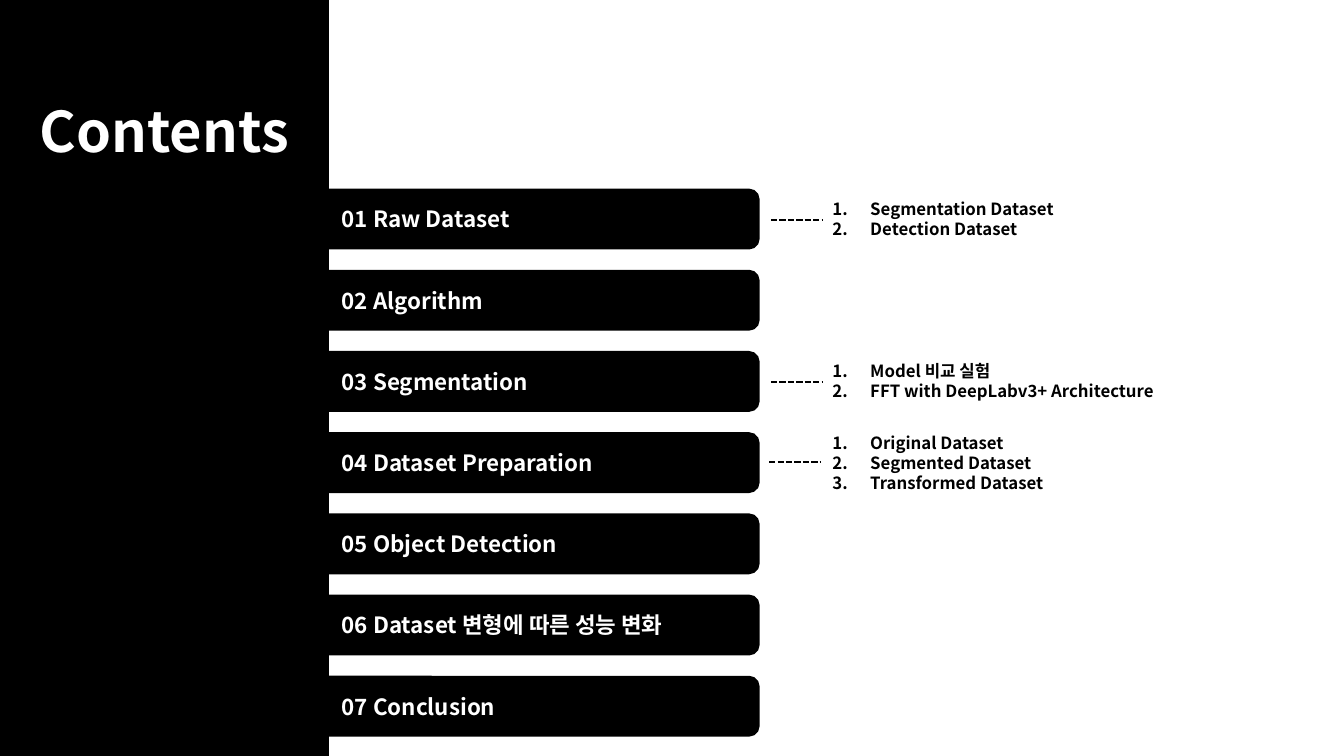
"""Build the contents slide: a black side panel, seven bars and their notes."""
from dataclasses import dataclass

from lxml import etree
from pptx import Presentation
from pptx.dml.color import RGBColor
from pptx.enum.dml import MSO_LINE
from pptx.enum.shapes import MSO_CONNECTOR, MSO_SHAPE
from pptx.enum.text import MSO_ANCHOR, MSO_AUTO_SIZE, PP_ALIGN
from pptx.oxml.ns import qn
from pptx.util import Pt

RECT = MSO_SHAPE.RECTANGLE
ROUND = MSO_SHAPE.ROUNDED_RECTANGLE
LINE = MSO_CONNECTOR.STRAIGHT
DASH = MSO_LINE.SQUARE_DOT
MIDDLE = MSO_ANCHOR.MIDDLE
GROW = MSO_AUTO_SIZE.SHAPE_TO_FIT_TEXT
LEFT = PP_ALIGN.LEFT
CENTER = PP_ALIGN.CENTER


@dataclass(frozen=True)
class Theme:
    """Hold the colours, the font and the type sizes."""
    black: RGBColor = RGBColor(0, 0, 0)
    white: RGBColor = RGBColor(255, 255, 255)
    font: str = "Noto Sans CJK KR"
    title: int = 40
    bar: int = 16
    note: int = 12


THEME = Theme()
BARS = [
    "01 Raw Dataset",
    "02 Algorithm",
    "03 Segmentation",
    "04 Dataset Preparation",
    "05 Object Detection",
    "06 Dataset 변형에 따른 성능 변화",
    "07 Conclusion",
]
NOTES = [
    (138.2, 183.6, 36, 550.8, 157,
     ["Segmentation Dataset", "Detection Dataset"]),
    (254.2, 250.6, 36, 550.8, 272.9,
     ["Model 비교 실험", "FFT with DeepLabv3+ Architecture"]),
    (305.3, 183.6, 51.1, 549.4, 329.8,
     ["Original Dataset", "Segmented Dataset", "Transformed Dataset"]),
]
BAR_TOP = 135.2
BAR_STEP = 58


def style(para, size, color, align=LEFT):
    """Set the type of a whole paragraph, Korean letters included."""
    para.alignment = align
    font = para.font
    font.name = THEME.font
    font.size = Pt(size)
    font.bold = True
    font.color.rgb = color
    props = para._p.pPr.find(qn("a:defRPr"))
    etree.SubElement(props, qn("a:ea"), typeface=THEME.font)


def add_block(slide, kind, left, top, width, height):
    """Add a black shape."""
    block = slide.shapes.add_shape(
        kind, Pt(left), Pt(top), Pt(width), Pt(height))
    block.shadow.inherit = False
    block.fill.solid()
    block.fill.fore_color.rgb = THEME.black
    block.line.color.rgb = THEME.black
    block.line.width = Pt(1)
    return block


def add_bar(slide, top, text):
    """Add a bar whose text starts right of the side panel."""
    frame = add_block(slide, ROUND, 188.6, top, 353.5, 42.5).text_frame
    frame.margin_left = Pt(53.5)
    frame.vertical_anchor = MIDDLE
    para = frame.paragraphs[0]
    para.text = text
    style(para, THEME.bar, THEME.white)


def add_box(slide, left, top, width, height):
    """Add an empty text box and return its frame."""
    box = slide.shapes.add_textbox(Pt(left), Pt(top), Pt(width), Pt(height))
    frame = box.text_frame
    frame.word_wrap = True
    frame.auto_size = GROW
    return frame


def add_title(slide, text):
    """Add the title on the side panel."""
    para = add_box(slide, 20.2, 65.5, 194.4, 55.4).paragraphs[0]
    para.text = text
    style(para, THEME.title, THEME.white, CENTER)


def add_dash(slide, left, mid):
    """Add a short dashed line beside a bar."""
    dash = slide.shapes.add_connector(
        LINE, Pt(left), Pt(mid), Pt(left + 37), Pt(mid))
    dash.line.color.rgb = THEME.black
    dash.line.width = Pt(1.5)
    dash.line.dash_style = DASH
    etree.SubElement(dash._element.spPr, qn("a:effectLst"))


def add_list(slide, top, width, height, items):
    """Add a numbered list."""
    frame = add_box(slide, 587.5, top, width, height)
    for index, item in enumerate(items):
        para = frame.add_paragraph() if index else frame.paragraphs[0]
        para.text = item
        props = para._p.get_or_add_pPr()
        props.set("marL", str(Pt(27)))
        props.set("indent", str(-Pt(27)))
        etree.SubElement(props, qn("a:buFont"), typeface="+mj-lt")
        etree.SubElement(props, qn("a:buAutoNum"), type="arabicPeriod")
        style(para, THEME.note, THEME.black)


def main():
    """Build and save the slide."""
    deck = Presentation()
    deck.slide_width = Pt(960)
    deck.slide_height = Pt(540)
    slide = deck.slides.add_slide(deck.slide_layouts[6])
    for index, text in enumerate(BARS):
        add_bar(slide, BAR_TOP + index * BAR_STEP, text)
    add_block(slide, RECT, 0, 0, 234.7, 540)
    add_title(slide, "Contents")
    for top, width, height, left, mid, items in NOTES:
        add_dash(slide, left, mid)
        add_list(slide, top, width, height, items)
    deck.save("out.pptx")


if __name__ == "__main__":
    main()
